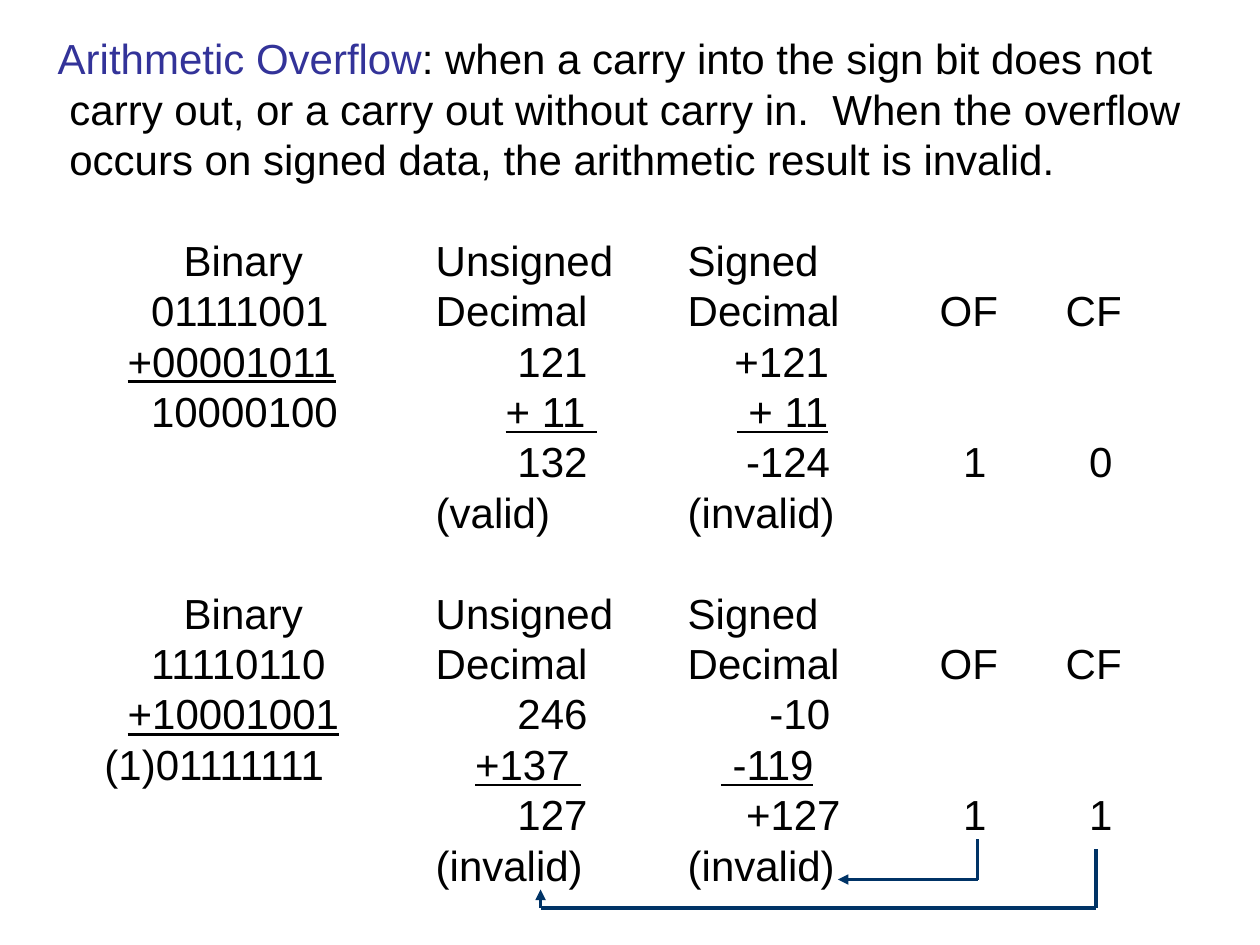
"""Build the arithmetic overflow slide."""
import itertools

import pptx
import pptx.dml.color
import pptx.enum.shapes
import pptx.oxml.ns
import pptx.util
from lxml import etree

Pt = pptx.util.Pt
RGB = pptx.dml.color.RGBColor
BLUE, BLACK, NAVY = RGB(0x33, 0x33, 0x99), RGB(0, 0, 0), RGB(0, 0x33, 0x66)
FONT, SIZE, LINE, SPACE = "Arial", 24, 28.8, 6.67

TERM = "Arithmetic Overflow"
INTRO = [
    ": when a carry into the sign bit does not",
    "carry out, or a carry out without carry in.  When the overflow",
    "occurs on signed data, the arithmetic result is invalid.",
]
BIN, UNS, SGN, OF, CF = 53.3, 216, 360, 504, 576
NUM, OFBIT, CFBIT = UNS + 46.7, OF + 13.3, CF + 13.3
# %s
SUMS = [
    {
        "bits": ["01111001", "+00001011", (BIN, "10000100")],
        "plain": ["121", (256, "+ 11 "), "132", "(valid)"],
        "signed": [(386.7, "+121"), (388, " + 11"), (393.3, "-124")],
        "flags": ["1", "0"],
    },
    {
        "bits": ["11110110", "+10001001", (26.7, "(1)01111111")],
        "plain": ["246", (238.5, "+137 "), "127", "(invalid)"],
        "signed": [(406.7, "-10"), (379, " -119"), (393.3, "+127")],
        "flags": ["1", "1"],
    },
]
PATHS = [
    [(626.4, 485.3), (626.4, 519), (308.9, 519), (308.9, 508.3)],
    [(558.7, 479.5), (558.7, 502.6), (478.8, 502.6)],
]


def rows(data):
    """Return the lines of one sum as (x, text, underlined) cells."""
    bits, plain, signed = data["bits"], data["plain"], data["signed"]
    return [
        [(72, "Binary"), (UNS, "Unsigned"), (SGN, "Signed")],
        [(BIN, bits[0]), (UNS, "Decimal"), (SGN, "Decimal"), (OF, "OF"), (CF, "CF")],
        [(40, bits[1], True), (NUM, plain[0]), signed[0]],
        [bits[2], (*plain[1], True), (*signed[1], True)],
        [(NUM, plain[2]), signed[2], (OFBIT, data["flags"][0]), (CFBIT, data["flags"][1])],
        [(UNS, plain[3]), (SGN, "(invalid)")],
    ]


def put(para, text, color=BLACK, under=False):
    """Add one formatted run."""
    run = para.add_run()
    run.text = text
    run.font.name, run.font.size = FONT, Pt(SIZE)
    run.font.color.rgb = color
    if under:
        run.font.underline = True


def stops(para, spots):
    """Give a paragraph left tab stops."""
    tabs = etree.SubElement(para._p.get_or_add_pPr(), pptx.oxml.ns.qn("a:tabLst"))
    for spot in spots:
        etree.SubElement(tabs, pptx.oxml.ns.qn("a:tab"), pos=str(int(Pt(spot))), algn="l")


def route(shapes, points):
    """Draw joined lines with an arrowhead at the end."""
    for start, end in itertools.pairwise(points):
        line = shapes.add_connector(
            pptx.enum.shapes.MSO_CONNECTOR.STRAIGHT, *map(Pt, start + end))
        line.line.color.rgb, line.line.width = NAVY, Pt(2)
        if end == points[-1]:
            etree.SubElement(line.line._get_or_add_ln(),
                             pptx.oxml.ns.qn("a:tailEnd"), type="triangle")
        etree.SubElement(line._element.spPr, pptx.oxml.ns.qn("a:effectLst"))


def main():
    """Lay out the text and arrows, then save."""
    deck = pptx.Presentation()
    deck.slide_width, deck.slide_height = Pt(720), Pt(540)
    shapes = deck.slides.add_slide(deck.slide_layouts[6]).shapes
    frame = shapes.add_textbox(Pt(25.9), Pt(15.1), Pt(655.9), Pt(496.8)).text_frame
    frame.word_wrap = True
    frame.margin_right = 0

    for index, text in enumerate(INTRO):
        para = frame.add_paragraph() if index else frame.paragraphs[0]
        para.line_spacing = Pt(LINE)
        if index:
            para._p.get_or_add_pPr().set("marL", str(int(Pt(SPACE))))
        else:
            put(para, TERM, BLUE)
        put(para, text)

    for data in SUMS:
        for index, cells in enumerate(rows(data)):
            para = frame.add_paragraph()
            para.line_spacing = Pt(LINE)
            if index == 0:
                para.space_before = Pt(LINE)
            stops(para, [cell[0] for cell in cells])
            for spot, text, *under in cells:
                put(para, "\t")
                put(para, text, under=bool(under))

    for points in PATHS:
        route(shapes, points)
    deck.save("out.pptx")


if __name__ == "__main__":
    main()
